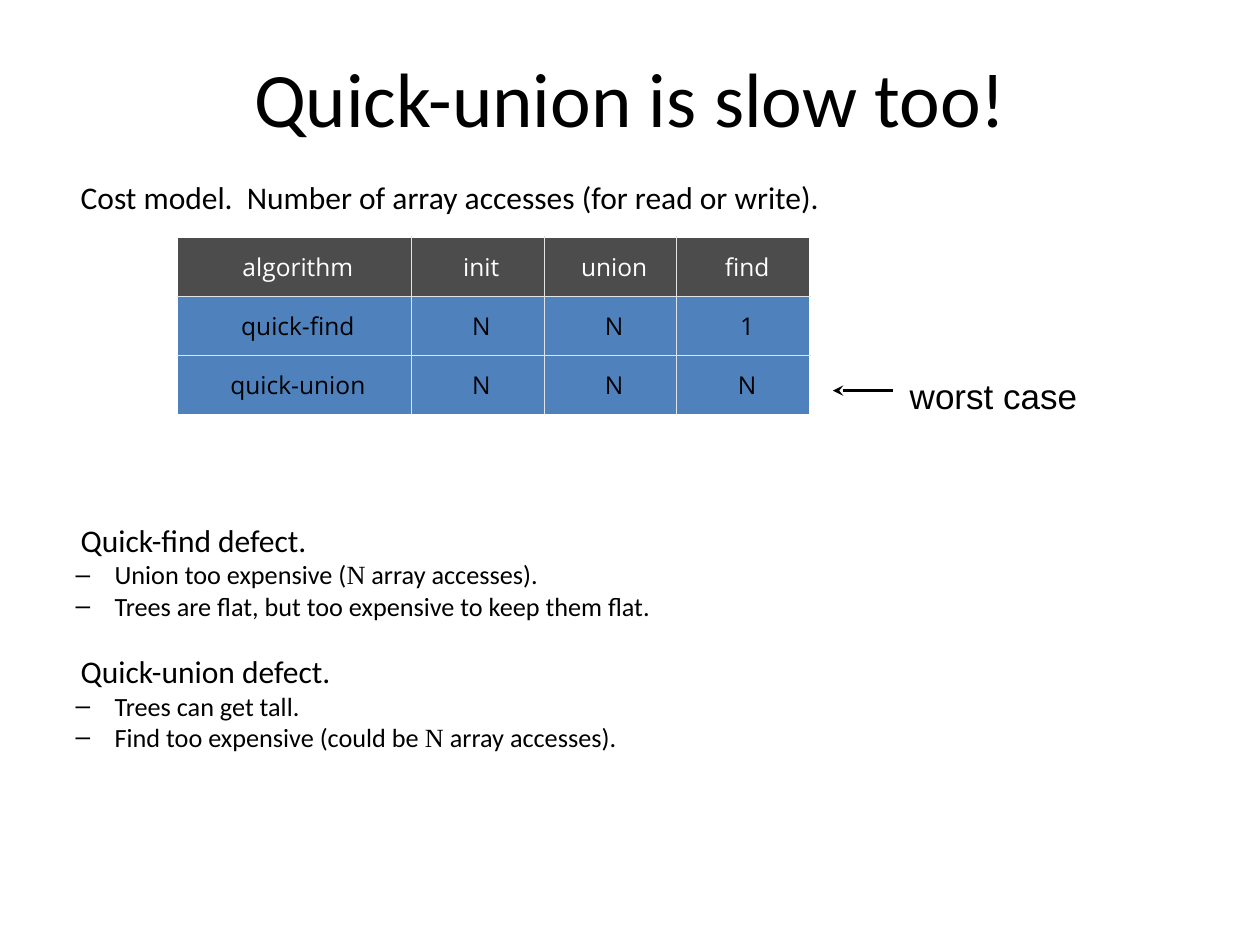
from lxml import etree
from pptx import Presentation
from pptx.dml.color import RGBColor
from pptx.enum.shapes import MSO_CONNECTOR
from pptx.enum.text import MSO_ANCHOR, MSO_AUTO_SIZE, PP_ALIGN
from pptx.oxml.ns import qn
from pptx.util import Inches, Pt

STRAIGHT = MSO_CONNECTOR.STRAIGHT
TOP, MIDDLE = MSO_ANCHOR.TOP, MSO_ANCHOR.MIDDLE
LEFT, CENTER = PP_ALIGN.LEFT, PP_ALIGN.CENTER
NO_FIT, GROW = MSO_AUTO_SIZE.NONE, MSO_AUTO_SIZE.SHAPE_TO_FIT_TEXT

THEME = {
    "ink": "000000", "header_ink": "FFFFFF", "header_fill": "4C4C4C",
    "row_fill": "4F81BD", "rule": "E1E4E5",
    "font": "Calibri", "math": "Times New Roman", "table": "Open Sans", "note": "Arial",
    "title_size": 44, "heading_size": 18, "bullet_size": 15, "cell_size": 14, "note_size": 20,
}

TITLE = "Quick-union is slow too!"
NOTE = "worst case"
# Each section: heading, space before in points, bullets whose odd spans are in math type
SECTIONS = [
    ("Cost model.  Number of array accesses (for read or write).", 0, []),
    ("Quick-find defect.", 178.5, [
        ("Union too expensive (", "N", " array accesses)."),
        ("Trees are flat, but too expensive to keep them flat.",),
    ]),
    ("Quick-union defect.", 21.5, [
        ("Trees can get tall.",),
        ("Find too expensive (could be ", "N", " array accesses)."),
    ]),
]
COSTS = [
    ("algorithm", "init", "union", "find"),
    ("quick-find", "N", "N", "1"),
    ("quick-union", "N", "N", "N"),
]
COLUMN_WIDTHS = [1.85, 1.06, 1.05, 1.06]
ROW_HEIGHT = 0.47
TABLE_LEFT, TABLE_TOP = 1.41, 1.88
RULE_WIDTH = 0.06


def apply(target, values):
    for name, value in values.items():
        setattr(target, name, value)


def set_frame(box, insets, **values):
    names = ("margin_left", "margin_top", "margin_right", "margin_bottom")
    apply(box.text_frame, {name: Inches(inset) for name, inset in zip(names, insets)})
    apply(box.text_frame, values)


def place(box, left, top, width, height):
    apply(box, {"left": Inches(left), "top": Inches(top),
                "width": Inches(width), "height": Inches(height)})


def write(para, spans, size, font, color="ink", margin=0.04, indent=0, bullet=None, **values):
    properties = para._p.get_or_add_pPr()
    properties.set("marL", str(Inches(margin)))
    properties.set("indent", str(Inches(indent)))
    if bullet:
        etree.SubElement(properties, qn("a:buChar"), char=bullet)
    else:
        etree.SubElement(properties, qn("a:buNone"))
    apply(para, values)
    for index, text in enumerate(spans):
        span = para.add_run()
        span.text = text
        apply(span.font, {"size": Pt(THEME[size]), "name": THEME["math" if index % 2 else font]})
        span.font.color.rgb = RGBColor.from_string(THEME[color])


def add_rule(cell, side):
    line = etree.SubElement(cell._tc.get_or_add_tcPr(), qn(f"a:{side}"), w=str(Pt(RULE_WIDTH)))
    fill = etree.SubElement(line, qn("a:solidFill"))
    etree.SubElement(fill, qn("a:srgbClr"), val=THEME["rule"])


def add_sections(body):
    frame = body.text_frame
    for number, (heading, gap, bullets) in enumerate(SECTIONS):
        para = frame.add_paragraph() if number else frame.paragraphs[0]
        write(para, [heading], "heading_size", "font",
              alignment=LEFT, line_spacing=0.8, space_before=Pt(gap))
        for spans in bullets:
            write(frame.add_paragraph(), spans, "bullet_size", "font", margin=0.31, indent=-0.31,
                  bullet="–", level=1, alignment=LEFT, line_spacing=0.8, space_before=Pt(3.7))


def add_costs(page):
    rows, columns = len(COSTS), len(COLUMN_WIDTHS)
    table = page.shapes.add_table(
        rows, columns, Inches(TABLE_LEFT), Inches(TABLE_TOP),
        Inches(sum(COLUMN_WIDTHS)), Inches(ROW_HEIGHT * rows)).table
    for column, width in zip(table.columns, COLUMN_WIDTHS):
        column.width = Inches(width)
    for r, texts in enumerate(COSTS):
        table.rows[r].height = Inches(ROW_HEIGHT)
        for c, text in enumerate(texts):
            cell = table.cell(r, c)
            inner = {"lnL": c > 0, "lnR": c < columns - 1, "lnT": r > 0, "lnB": r < rows - 1}
            for side, shown in inner.items():
                if shown:
                    add_rule(cell, side)
            cell.fill.solid()
            cell.fill.fore_color.rgb = RGBColor.from_string(
                THEME["row_fill" if r else "header_fill"])
            apply(cell, {"margin_left": Inches(0.04), "margin_right": Inches(0.04),
                         "vertical_anchor": MIDDLE})
            write(cell.text_frame.paragraphs[0], [text], "cell_size", "table",
                  "ink" if r else "header_ink", margin=0.06,
                  alignment=CENTER, line_spacing=0.96)


def add_note(page):
    box = page.shapes.add_textbox(Inches(7.18), Inches(2.97), Inches(1.42), Inches(0.33))
    set_frame(box, (0, 0, 0.05, 0), word_wrap=False, auto_size=GROW)
    write(box.text_frame.paragraphs[0], [NOTE], "note_size", "note")
    arrow = page.shapes.add_connector(
        STRAIGHT, Inches(6.61), Inches(3.1), Inches(7.09), Inches(3.1))
    arrow.line.color.rgb = RGBColor.from_string(THEME["ink"])
    arrow.line.width = Pt(2)
    etree.SubElement(arrow.line._get_or_add_ln(), qn("a:headEnd"), type="stealth")
    etree.SubElement(arrow._element.spPr, qn("a:effectLst"))


def main():
    deck = Presentation()
    apply(deck, {"slide_width": Inches(10), "slide_height": Inches(7.5)})
    page = deck.slides.add_slide(deck.slide_layouts[1])
    title, body = page.shapes.title, page.placeholders[1]
    insets = (0.1, 0.05, 0.13, 0.05)
    place(title, 0.5, 0.14, 9, 1.25)
    set_frame(title, insets, vertical_anchor=MIDDLE, word_wrap=True, auto_size=NO_FIT)
    write(title.text_frame.paragraphs[0], [TITLE], "title_size", "font", alignment=CENTER)
    place(body, 0.5, 1.42, 9, 4.95)
    set_frame(body, insets, vertical_anchor=TOP, word_wrap=True, auto_size=NO_FIT)
    add_sections(body)
    add_note(page)
    add_costs(page)
    deck.save("out.pptx")


if __name__ == "__main__":
    main()
